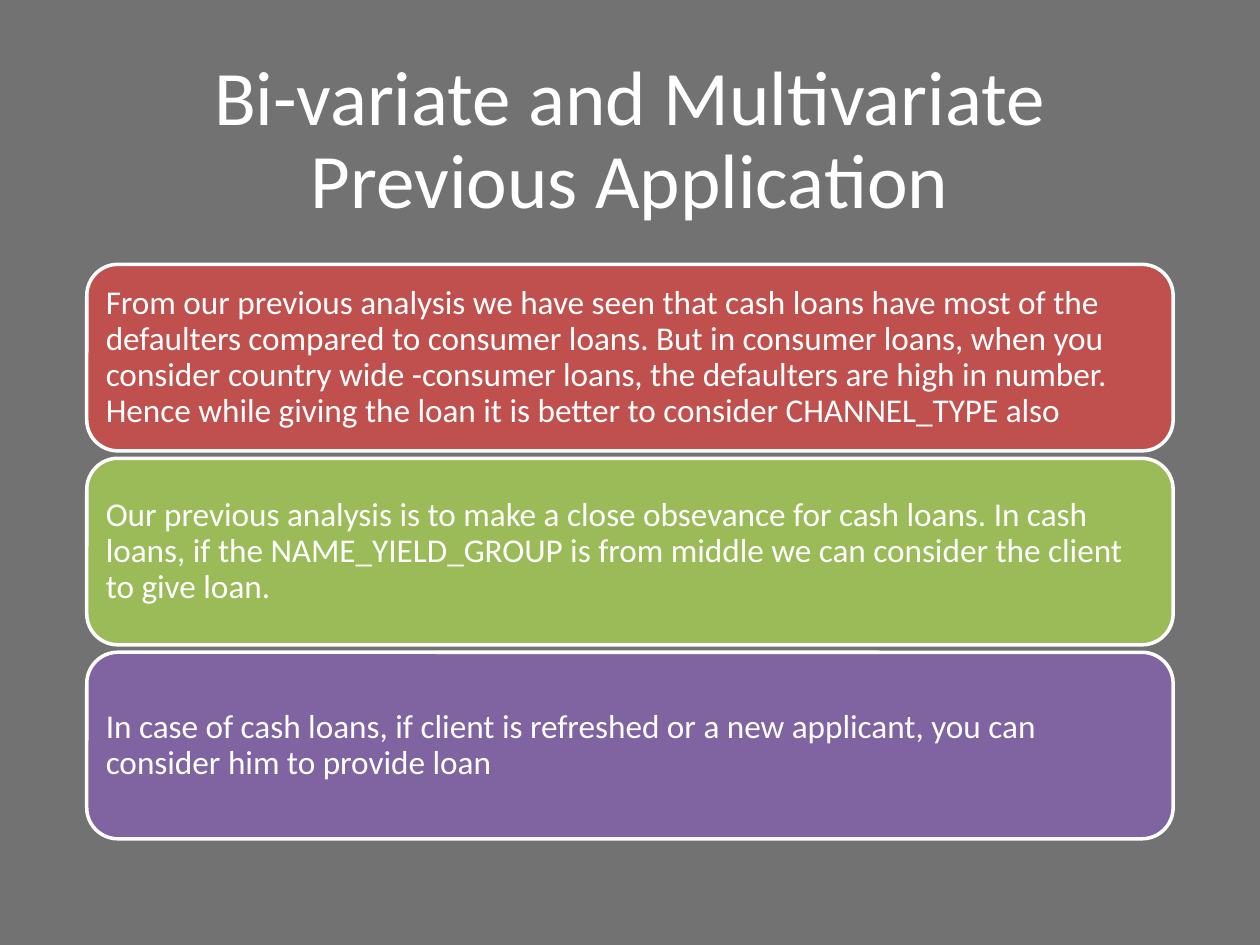
from pptx import Presentation
from pptx.dml.color import RGBColor
from pptx.enum.shapes import MSO_SHAPE
from pptx.enum.text import MSO_ANCHOR, PP_ALIGN
from pptx.util import Cm, Pt

GREY = RGBColor(0x72, 0x72, 0x72)
WHITE = RGBColor(0xFF, 0xFF, 0xFF)
RED = RGBColor(0xC0, 0x50, 0x4D)
GREEN = RGBColor(0x9B, 0xBB, 0x59)
PURPLE = RGBColor(0x80, 0x64, 0xA2)

LEFT, WIDTH = Cm(1.75), Cm(21.9)


def set_text(sp, text, size, align=PP_ALIGN.LEFT, inset=Cm(0.2)):
    tf = sp.text_frame
    tf.word_wrap = True
    tf.vertical_anchor = MSO_ANCHOR.MIDDLE
    tf.margin_left = tf.margin_right = tf.margin_top = tf.margin_bottom = inset
    p = tf.paragraphs[0]
    p.text = text
    p.alignment = align
    p.line_spacing = 0.9
    for r in p.runs:
        r.font.name = "Calibri"
        r.font.size = Pt(size)
        r.font.color.rgb = WHITE


prs = Presentation()
prs.slide_width, prs.slide_height = Cm(25.4), Cm(19.05)
s = prs.slides.add_slide(prs.slide_layouts[6])

# Background
s.background.fill.solid()
s.background.fill.fore_color.rgb = GREY

# Title, with a line break between its two lines
sp = s.shapes.add_textbox(LEFT, Cm(1.02), WIDTH, Cm(3.68))
set_text(sp, "Bi-variate and Multivariate\vPrevious Application", 44,
         align=PP_ALIGN.CENTER)

# Stacked findings
findings = [
    (RED, "From our previous analysis we have seen that cash loans have most of "
          "the defaulters compared to consumer loans. But in consumer loans, when "
          "you consider country wide -consumer loans, the defaulters are high in "
          "number. Hence while giving the loan it is better to consider "
          "CHANNEL_TYPE also"),
    (GREEN, "Our previous analysis is to make a close obsevance for cash loans. "
            "In cash loans, if the NAME_YIELD_GROUP is from middle we can "
            "consider the client to give loan."),
    (PURPLE, "In case of cash loans, if client is refreshed or a new applicant, "
             "you can consider him to provide loan"),
]
for i, (color, text) in enumerate(findings):
    sp = s.shapes.add_shape(MSO_SHAPE.ROUNDED_RECTANGLE, LEFT,
                            Cm(5.33 + 3.91 * i), WIDTH, Cm(3.76))
    sp.shadow.inherit = False
    sp.fill.solid()
    sp.fill.fore_color.rgb = color
    sp.line.color.rgb = WHITE
    sp.line.width = Pt(2)
    set_text(sp, text, 19)

prs.save("out.pptx")
